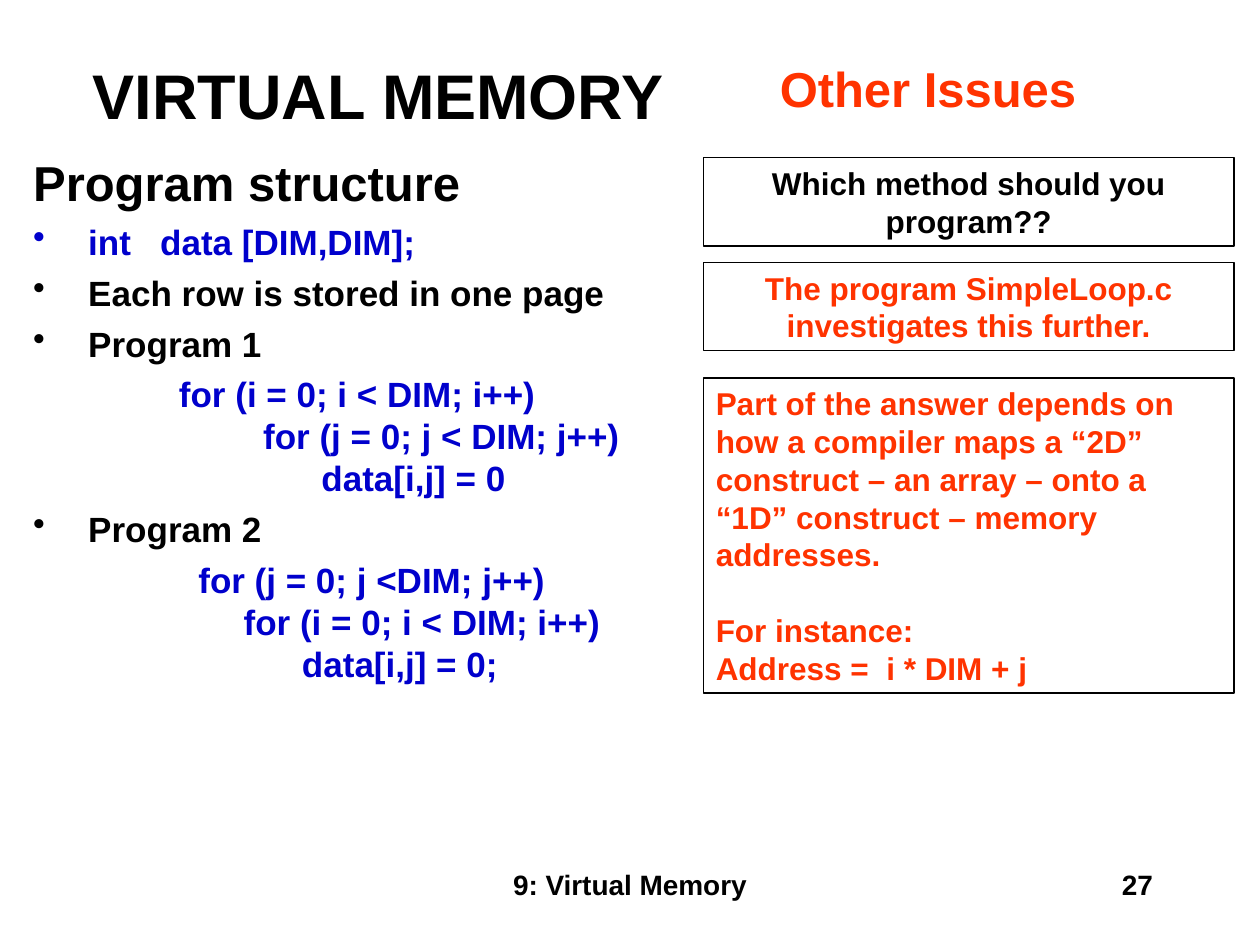
"""Build the slide on virtual memory and program structure."""
from lxml import etree
from pptx import Presentation
from pptx.dml.color import RGBColor
from pptx.enum.shapes import MSO_SHAPE
from pptx.enum.text import MSO_ANCHOR, MSO_AUTO_SIZE, PP_ALIGN
from pptx.oxml.ns import qn
from pptx.util import Cm, Pt

RECTANGLE = MSO_SHAPE.RECTANGLE
TOP, MIDDLE = MSO_ANCHOR.TOP, MSO_ANCHOR.MIDDLE
LEFT, CENTER, RIGHT = PP_ALIGN.LEFT, PP_ALIGN.CENTER, PP_ALIGN.RIGHT
FIT_SHAPE = MSO_AUTO_SIZE.SHAPE_TO_FIT_TEXT

BLACK = RGBColor(0x00, 0x00, 0x00)
BLUE = RGBColor(0x00, 0x00, 0xCC)
ORANGE = RGBColor(0xFF, 0x33, 0x00)
FONT = "Arial"
INDENT = Cm(1.11)

# NOTE_* values are centimetres; gap values are points.
NOTE_LEFT, NOTE_WIDTH = 14.18, 10.7

LABELS = [
    ("VIRTUAL MEMORY", (0.64, 0.85, 13.97, 2.12), 36, BLACK, CENTER, MIDDLE),
    ("Other Issues", (15.47, 1.06, 6.48, 1.45), 28, ORANGE, LEFT, TOP),
    ("9: Virtual Memory", (8.68, 17.36, 8.04, 1.27), 16, BLACK, CENTER, TOP),
    ("27", (18.2, 17.36, 5.29, 1.27), 16, BLACK, RIGHT, TOP),
]

STRUCTURE_PLACE = (0.42, 2.96, 13.76, 11.86)
STRUCTURE = [
    ("Program structure", 28, BLACK, False),
    ("int   data [DIM,DIM];", 20, BLUE, True),
    ("Each row is stored in one page", 20, BLACK, True),
    ("Program 1", 20, BLACK, True),
    ("               for (i = 0; i < DIM; i++)\n"
     "                  for (j = 0; j < DIM; j++)\n"
     "                        data[i,j] = 0", 20, BLUE, False),
    ("Program 2", 20, BLACK, True),
    ("                 for (j = 0; j <DIM; j++)\n"
     "                for (i = 0; i < DIM; i++)\n"
     "                      data[i,j] = 0;", 20, BLUE, False),
]

NOTES = [
    (3.18, 1.78, BLACK, CENTER, [("Which method should you program??", 0)]),
    (5.29, 1.78, ORANGE, CENTER,
     [("The program SimpleLoop.c investigates this further.", 0)]),
    (7.62, 6.35, ORANGE, LEFT, [
        ("Part of the answer depends on how a compiler maps a “2D” construct "
         "– an array – onto a “1D” construct – memory addresses.", 0),
        ("For instance:", 21.6),
        ("Address =  i * DIM + j", 0),
    ]),
]


def next_paragraph(frame, first):
    return frame.paragraphs[0] if first else frame.add_paragraph()


def write(paragraph, text, size, color):
    for number, line in enumerate(text.split("\n")):
        if number:
            paragraph.add_line_break()
        run = paragraph.add_run()
        run.text = line
        run.font.name = FONT
        run.font.size = Pt(size)
        run.font.bold = True
        run.font.color.rgb = color


def add_bullet(paragraph, color):
    properties = paragraph._p.get_or_add_pPr()
    bullet_color = etree.SubElement(properties, qn("a:buClr"))
    etree.SubElement(bullet_color, qn("a:srgbClr"), val=str(color))
    etree.SubElement(properties, qn("a:buChar"), char="•")


def add_label(slide, text, place, size, color, align, anchor):
    frame = slide.shapes.add_textbox(*map(Cm, place)).text_frame
    frame.word_wrap = True
    frame.vertical_anchor = anchor
    frame.paragraphs[0].alignment = align
    write(frame.paragraphs[0], text, size, color)


def add_structure(slide):
    frame = slide.shapes.add_textbox(*map(Cm, STRUCTURE_PLACE)).text_frame
    frame.word_wrap = True
    for number, (text, size, color, bulleted) in enumerate(STRUCTURE):
        paragraph = next_paragraph(frame, number == 0)
        properties = paragraph._p.get_or_add_pPr()
        properties.set("marL", str(INDENT))
        properties.set("indent", str(-INDENT))
        if number:
            paragraph.space_before = Pt(5)
        if bulleted:
            add_bullet(paragraph, color)
        write(paragraph, text, size, color)


def add_note(slide, top, height, color, align, lines):
    note = slide.shapes.add_shape(
        RECTANGLE, *map(Cm, (NOTE_LEFT, top, NOTE_WIDTH, height)))
    note.shadow.inherit = False
    note.fill.background()
    note.line.color.rgb = BLACK
    note.line.width = Pt(0.75)
    frame = note.text_frame
    frame.word_wrap = True
    frame.auto_size = FIT_SHAPE
    frame.vertical_anchor = TOP
    for number, (text, gap) in enumerate(lines):
        paragraph = next_paragraph(frame, number == 0)
        paragraph.alignment = align
        if gap:
            paragraph.space_before = Pt(gap)
        write(paragraph, text, 18, color)


def main():
    deck = Presentation()
    deck.slide_width, deck.slide_height = Cm(25.4), Cm(19.05)
    slide = deck.slides.add_slide(deck.slide_layouts[6])
    add_structure(slide)
    for label in LABELS:
        add_label(slide, *label)
    for note in NOTES:
        add_note(slide, *note)
    deck.save("out.pptx")


if __name__ == "__main__":
    main()
